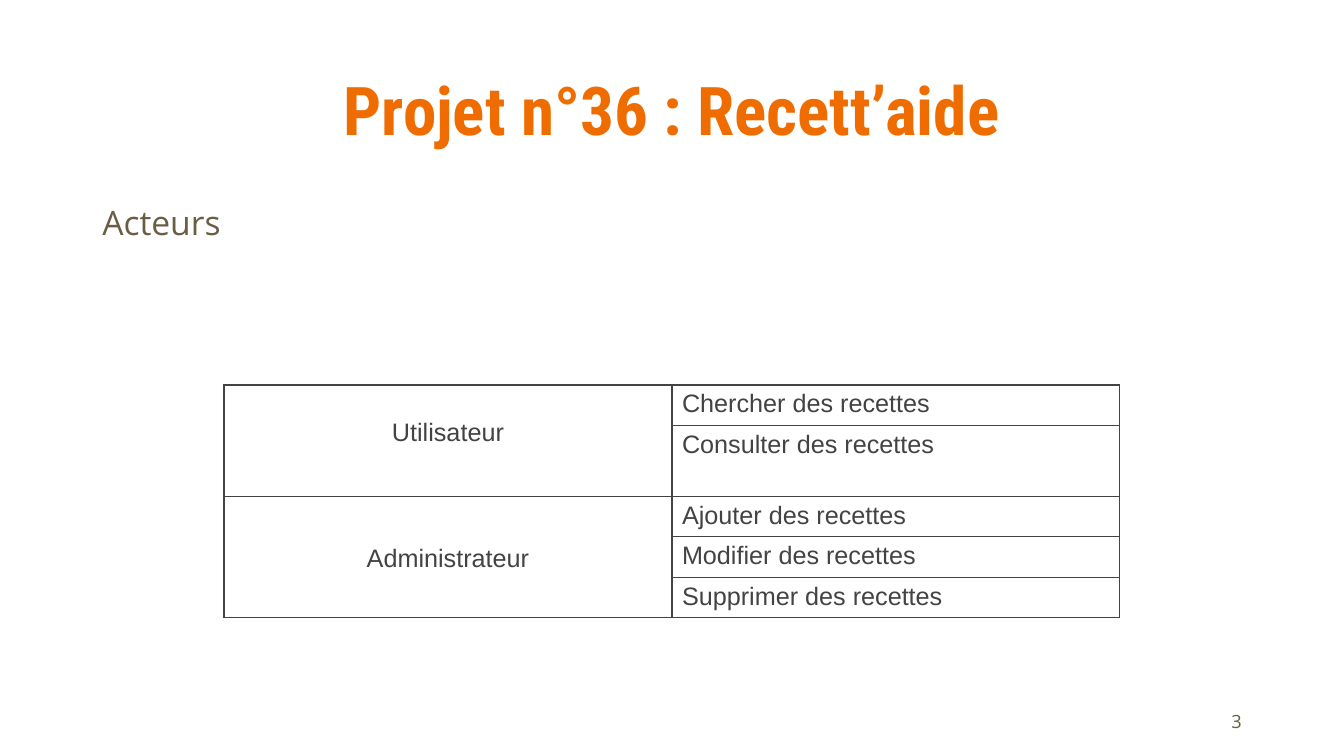
from lxml.etree import SubElement
from pptx import Presentation
from pptx.dml.color import RGBColor
from pptx.enum.text import MSO_ANCHOR, PP_ALIGN
from pptx.oxml.ns import qn
from pptx.util import Pt

ORANGE = RGBColor(0xEF, 0x6C, 0x00)
BROWN = RGBColor(0x69, 0x5D, 0x46)
GREY = RGBColor(0x43, 0x43, 0x43)

TITLE = "Projet n°36 : Recett’aide"
SUBTITLE = "Acteurs"
PAGE_NUMBER = "3"
ACTORS = [
    ("Utilisateur", 2, 3.6, ["Chercher des recettes", "Consulter des recettes"]),
    ("Administrateur", 1.5, 24.3,
     ["Ajouter des recettes", "Modifier des recettes", "Supprimer des recettes"]),
]
ROW_HEIGHTS = [29.2, 47.9, 27.4, 27.4, 27.4]
COLUMN_WIDTH = 320
TABLE_LEFT, TABLE_TOP = 160, 275


def style(p, text, size, font, color, align=PP_ALIGN.LEFT, spacing=None, bold=False):
    p.text = text
    p.alignment = align
    p.line_spacing = spacing
    p.font.size = Pt(size)
    p.font.name = font
    p.font.bold = bold
    p.font.color.rgb = color


def add_text(s, box, anchor, *look):
    tf = s.shapes.add_textbox(*map(Pt, box)).text_frame
    tf.word_wrap = True
    tf.vertical_anchor = anchor
    style(tf.paragraphs[0], *look)


def add_borders(cell):
    tcPr = cell._tc.get_or_add_tcPr()
    for i, side in enumerate(("a:lnL", "a:lnR", "a:lnT", "a:lnB")):
        ln = SubElement(tcPr, qn(side), w=str(Pt(1)))
        fill = SubElement(ln, qn("a:solidFill"))
        SubElement(fill, qn("a:srgbClr"), val=str(GREY))
        tcPr.remove(ln)
        tcPr.insert(i, ln)


def add_actor_table(s):
    table = s.shapes.add_table(
        len(ROW_HEIGHTS), 2, Pt(TABLE_LEFT), Pt(TABLE_TOP),
        Pt(2 * COLUMN_WIDTH), Pt(sum(ROW_HEIGHTS))).table
    table.first_row = table.horz_banding = False
    for column in table.columns:
        column.width = Pt(COLUMN_WIDTH)
    for row, height in zip(table.rows, ROW_HEIGHTS):
        row.height = Pt(height)
    for cell in table.iter_cells():
        cell.fill.background()
        add_borders(cell)
    top = 0
    for actor, spacing, margin, actions in ACTORS:
        cell = table.cell(top, 0)
        cell.merge(table.cell(top + len(actions) - 1, 0))
        cell.margin_top = Pt(margin)
        style(cell.text_frame.paragraphs[0], actor, 18, "Arial", GREY,
              PP_ALIGN.CENTER, spacing)
        for i, action in enumerate(actions, top):
            p = table.cell(i, 1).text_frame.paragraphs[0]
            style(p, action, 18, "Arial", GREY)
        top += len(actions)


def main():
    prs = Presentation()
    prs.slide_width, prs.slide_height = Pt(960), Pt(540)
    s = prs.slides.add_slide(prs.slide_layouts[6])
    add_text(s, (66, 28.75, 828, 104.4), MSO_ANCHOR.MIDDLE, TITLE, 48,
             "Roboto Condensed", ORANGE, PP_ALIGN.CENTER, 0.9, True)
    add_text(s, (66, 143.75, 828, 342.6), MSO_ANCHOR.TOP, SUBTITLE, 24,
             "Open Sans", BROWN, PP_ALIGN.LEFT, 0.9)
    add_actor_table(s)
    add_text(s, (678, 500.5, 216, 28.75), MSO_ANCHOR.MIDDLE, PAGE_NUMBER, 13,
             "Open Sans", BROWN, PP_ALIGN.RIGHT)
    prs.save("out.pptx")


if __name__ == "__main__":
    main()
